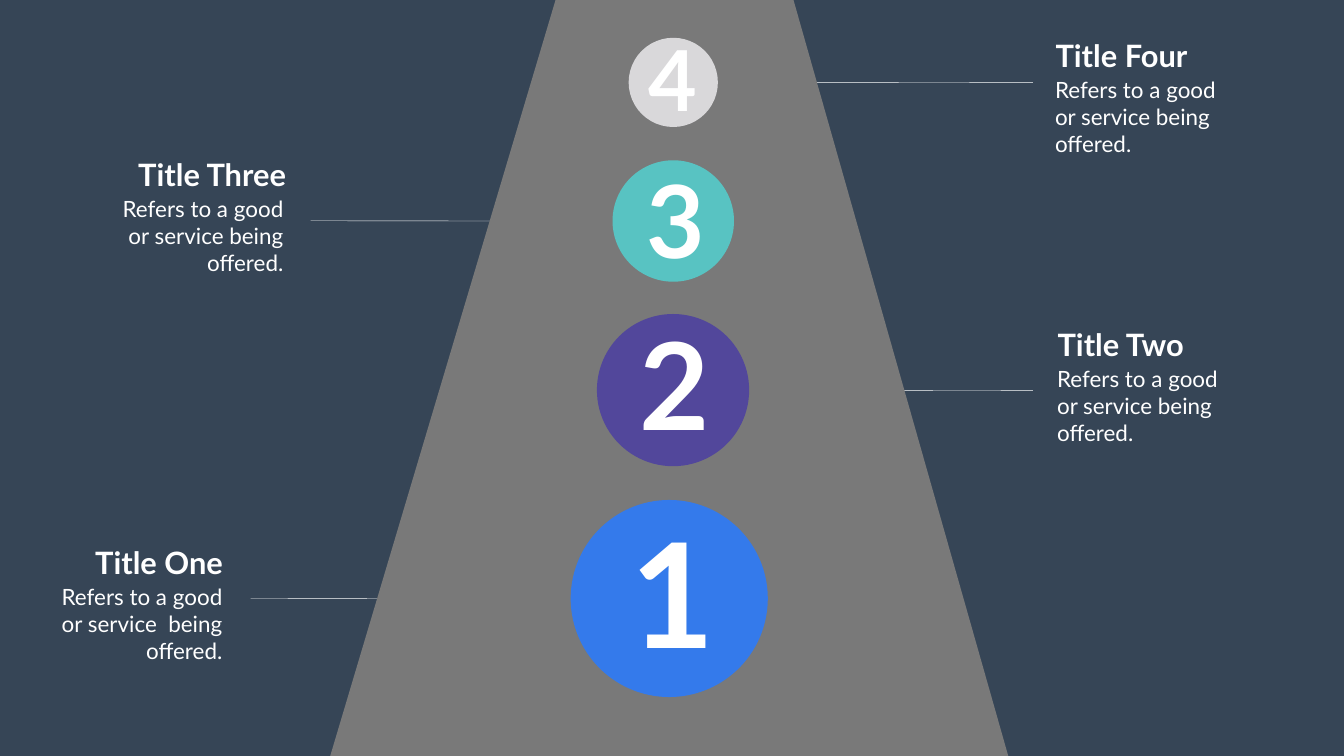
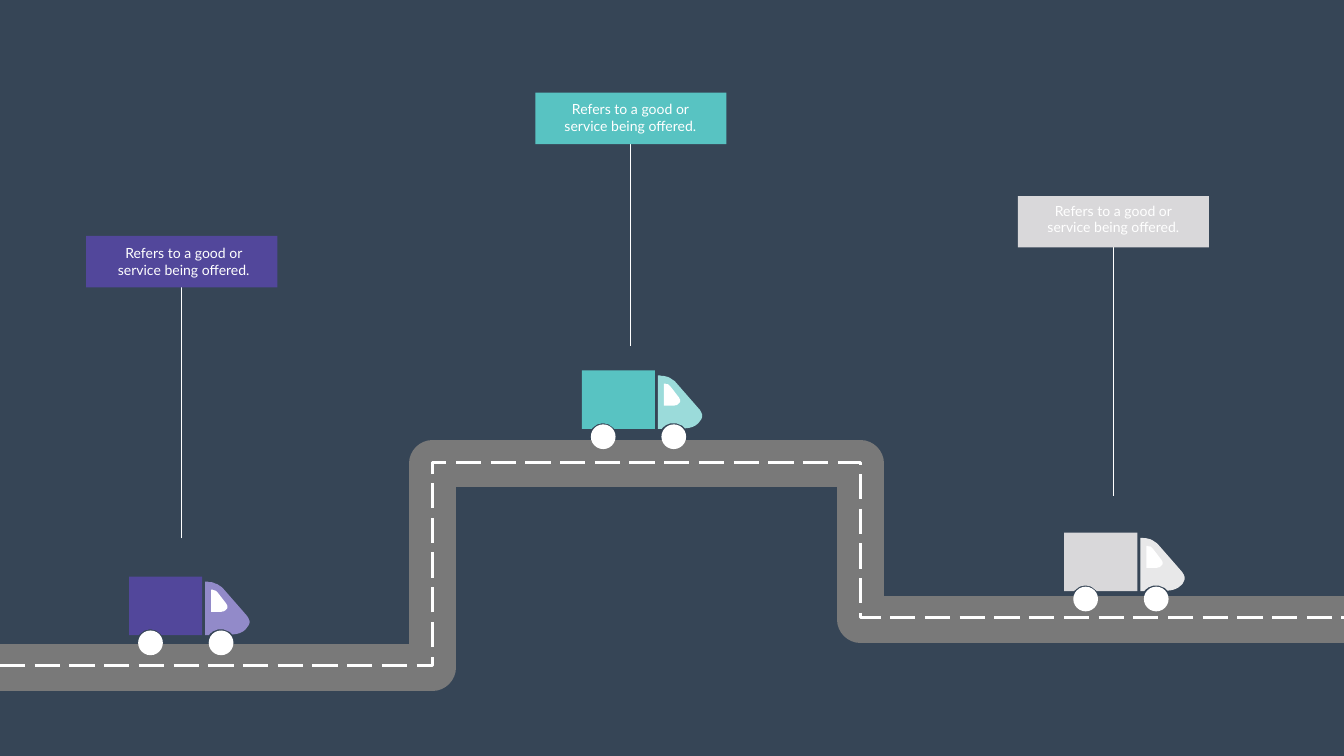
"""Build two road infographic slides: a numbered road and a delivery route."""
import pptx
import pptx.dml.color
import pptx.enum.dml
import pptx.enum.shapes
import pptx.enum.text
import pptx.oxml
import pptx.util

PX = 9144
WIDTH, HEIGHT = 2666, 1500
FONT = "Lato"
NAVY, GREY, WHITE = "364556", "797979", "FFFFFF"
BLUE, PURPLE, TEAL, SILVER = "347AEB", "52479B", "58C3C2", "D9D8DA"
DRAWING_NAMESPACE = 'xmlns:a="http://schemas.openxmlformats.org/drawingml/2006/main"'
LEFT, CENTER, RIGHT = (
    pptx.enum.text.PP_ALIGN.LEFT,
    pptx.enum.text.PP_ALIGN.CENTER,
    pptx.enum.text.PP_ALIGN.RIGHT,
)
OVAL = pptx.enum.shapes.MSO_SHAPE.OVAL
RECTANGLE = pptx.enum.shapes.MSO_SHAPE.RECTANGLE
STRAIGHT = pptx.enum.shapes.MSO_CONNECTOR.STRAIGHT


def paint(fill, color):
    """Make a fill solid in a hex colour."""
    fill.solid()
    fill.fore_color.rgb = pptx.dml.color.RGBColor.from_string(color)


def add_text(slide, box, text, size, alignment, bold=False, wrap=True):
    """Add a one-paragraph white text box."""
    frame = slide.shapes.add_textbox(*[value * PX for value in box]).text_frame
    frame.word_wrap = wrap
    frame.auto_size = pptx.enum.text.MSO_AUTO_SIZE.SHAPE_TO_FIT_TEXT
    paragraph = frame.paragraphs[0]
    paragraph.text = text
    paragraph.alignment = alignment
    paragraph.font.name = FONT
    paragraph.font.size = pptx.util.Pt(size)
    paragraph.font.bold = bold
    paint(paragraph.font.fill, WHITE)


presentation = pptx.Presentation()
presentation.slide_width = WIDTH * PX
presentation.slide_height = HEIGHT * PX
blank_layout = presentation.slide_layouts[6]
steps_slide = presentation.slides.add_slide(blank_layout)
route_slide = presentation.slides.add_slide(blank_layout)
for slide in (steps_slide, route_slide):
    paint(slide.background.fill, NAVY)

leaders = [(1373, 163, 2049), (1373, 774, 2049), (497, 1187, 1047), (616, 438, 1292)]
for start, y, end in leaders:
    leader = steps_slide.shapes.add_connector(
        STRAIGHT, start * PX, y * PX, end * PX, (y + 1) * PX
    )
    leader.line.width = pptx.util.Pt(0.57)
    paint(leader.line.fill, WHITE)

builder = steps_slide.shapes.build_freeform(1102, 0, scale=PX)
builder.add_line_segments([(655, HEIGHT), (2000, HEIGHT), (1574, 0)])
road = builder.convert_to_shape()
paint(road.fill, GREY)
road.line.fill.background()

circles = [
    ("1", BLUE, (1132, 992, 391), (1241, 993, 189, 360), 208),
    ("2", PURPLE, (1184, 623, 302), (1258, 608, 161, 301), 173),
    ("3", TEAL, (1215, 318, 241), (1272, 307, 137, 252), 144),
    ("4", SILVER, (1247, 75, 177), (1276, 49, 118, 212), 120),
]
for number, color, (left, top, diameter), number_box, size in circles:
    circle = steps_slide.shapes.add_shape(
        OVAL, left * PX, top * PX, diameter * PX, diameter * PX
    )
    paint(circle.fill, color)
    circle.line.fill.background()
    add_text(steps_slide, number_box, number, size, LEFT, bold=True, wrap=False)

description = "Refers to a good or service being offered."
steps = [
    ("Title Three", (261, 305, 320), 232, description, CENTER, RIGHT),
    ("Title One", (177, 1074, 277), 111,
     "Refers to a good or service  being offered.", CENTER, RIGHT),
    ("Title Four", (2084, 68, 287), 2083, description, LEFT, LEFT),
    ("Title Two", (2088, 641, 281), 2087, description, LEFT, LEFT),
]
for title, (left, top, width), text_left, text, title_align, text_align in steps:
    title_box = (left, top, width, 84)
    add_text(steps_slide, title_box, title, 44, title_align, bold=True, wrap=False)
    add_text(steps_slide, (text_left, top + 78, 340, 172), text, 32, text_align)

route = [(858, 1324), (858, 920), (1707, 920), (1707, 1229), (2675, 1229)]
for color, width, rise, dash in [
    (GREY, 66.75, 0, None),
    (WHITE, 4.5, 3, pptx.enum.dml.MSO_LINE.LONG_DASH),
]:
    builder = route_slide.shapes.build_freeform(0, 1324 - rise, scale=PX)
    builder.add_line_segments([(x, y - rise) for x, y in route], close=False)
    lane = builder.convert_to_shape()
    lane.fill.background()
    lane.line.width = pptx.util.Pt(width)
    paint(lane.line.fill, color)
    if dash:
        lane.line.dash_style = dash
    join = pptx.oxml.parse_xml(f"<a:round {DRAWING_NAMESPACE}/>")
    lane.line._get_or_add_ln().append(join)

# Each outline is a start point, then lines (2 numbers) and cubic curves (6 numbers).
cargo = [
    (0, 0), (0, 116), (20, 116), (24, 110, 32, 105, 42, 105),
    (52, 105, 60, 110, 64, 116), (145, 116), (145, 0),
]
cab = [
    (234, 78), (186, 23), (179, 15, 165, 10, 151, 10), (151, 116), (159, 116),
    (163, 109, 172, 105, 182, 105), (192, 105, 200, 109, 205, 115),
    (232, 112, 247, 94, 234, 78),
]
window = [
    (193, 54), (176, 32), (173, 28, 168, 26, 163, 26), (163, 70), (183, 70),
    (193, 69, 198, 61, 193, 54),
]
CURVE_STEPS = 10
WHEEL = 49
trucks = [
    ((256, 1144), PURPLE, "928AC9", (171, 468), 1068, (37, 12)),
    ((1154, 735), TEAL, "9BDBDA", (1062, 184), 687, (32, 11)),
    ((2111, 1057), SILVER, "E8E8E9", (2019, 389), 984, (33, 7)),
]
for (left, top), color, tint, (label_left, label_top), pin_end, inset in trucks:
    for outline, part_color in [(cargo, color), (cab, tint), (window, WHITE)]:
        points = [outline[0]]
        for segment in outline[1:]:
            if len(segment) == 2:
                points.append(segment)
                continue
            controls = [points[-1], segment[:2], segment[2:4], segment[4:]]
            for step in range(1, CURVE_STEPS + 1):
                t = step / CURVE_STEPS
                weights = [(1 - t) ** 3, 3 * t * (1 - t) ** 2, 3 * t**2 * (1 - t), t**3]
                points.append(tuple(
                    sum(weight * point[axis] for weight, point in zip(weights, controls))
                    for axis in (0, 1)
                ))
        placed = [(left + x, top + y) for x, y in points]
        builder = route_slide.shapes.build_freeform(*placed[0], scale=PX)
        builder.add_line_segments(placed[1:])
        part = builder.convert_to_shape()
        paint(part.fill, part_color)
        part.line.fill.background()
    for wheel_left in (18, 158):
        wheel = route_slide.shapes.add_shape(
            OVAL, (left + wheel_left) * PX, (top + 107) * PX, WHEEL * PX, WHEEL * PX
        )
        paint(wheel.fill, WHITE)
        wheel.line.fill.background()

    pin_x = label_left + 189
    pin = route_slide.shapes.add_connector(
        STRAIGHT, pin_x * PX, pin_end * PX, pin_x * PX, (label_top + 102) * PX
    )
    pin.line.width = pptx.util.Pt(0.88)
    paint(pin.line.fill, WHITE)
    label = route_slide.shapes.add_shape(
        RECTANGLE, label_left * PX, label_top * PX, 379 * PX, 102 * PX
    )
    paint(label.fill, color)
    label.line.fill.background()
    text_box = (label_left + inset[0], label_top + inset[1], 313, 77)
    add_text(route_slide, text_box, description, 20, CENTER)

for slide in (steps_slide, route_slide):
    for shape in slide.shapes:
        if shape.shape_type == pptx.enum.shapes.MSO_SHAPE_TYPE.LINE:
            no_effects = pptx.oxml.parse_xml(f"<a:effectLst {DRAWING_NAMESPACE}/>")
            shape._element.spPr.append(no_effects)
        else:
            shape.shadow.inherit = False

presentation.save("out.pptx")
